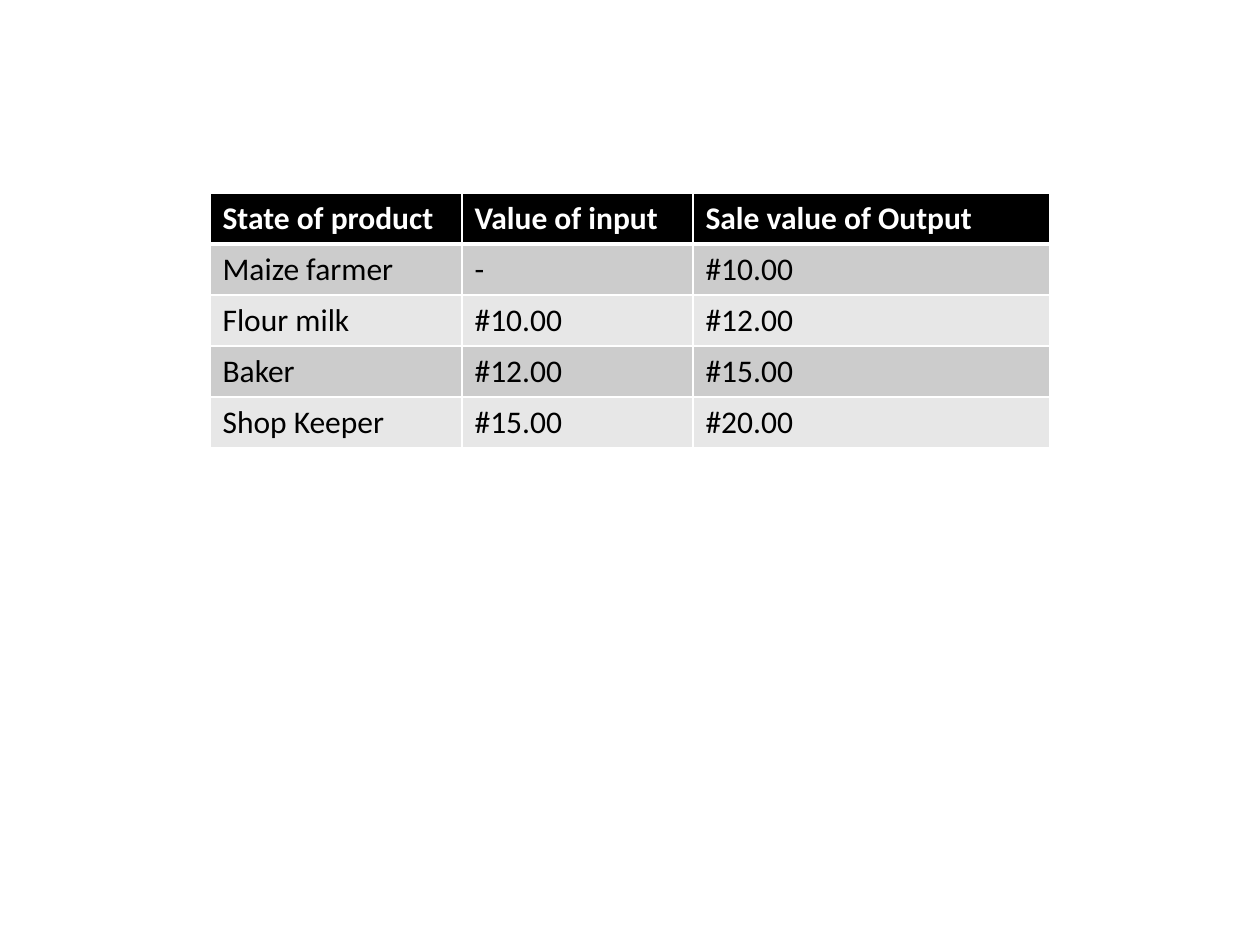
from dataclasses import dataclass

from lxml import etree
from pptx import Presentation
from pptx.dml.color import RGBColor
from pptx.enum.text import MSO_ANCHOR
from pptx.oxml.ns import qn
from pptx.util import Inches, Pt

TOP = MSO_ANCHOR.TOP
BLANK_LAYOUT = 6
GRID_COLUMNS = 60
TABLE_LEFT = 10
COLUMN_SPANS = (12, 11, 17)
TABLE_TOP = 0.204
ROW_HEIGHT = 0.054

PRODUCT_ROWS = (
    ("State of product", "Value of input", "Sale value of Output"),
    ("Maize farmer", "-", "#10.00"),
    ("Flour milk", "#10.00", "#12.00"),
    ("Baker", "#12.00", "#15.00"),
    ("Shop Keeper", "#15.00", "#20.00"),
)


@dataclass(frozen=True)
class Theme:
    font: str = "Calibri"
    size: int = 18
    header_fill: str = "000000"
    header_text: str = "FFFFFF"
    body_text: str = "000000"
    bands: tuple = ("CCCCCC", "E7E7E7")
    border: str = "FFFFFF"
    thin: int = 1
    thick: int = 3


THEME = Theme()


def set_attributes(target, values):
    for name, value in values.items():
        setattr(target, name, value)


def add_border(cell, side, width):
    tc_pr = cell._tc.get_or_add_tcPr()
    line = etree.SubElement(tc_pr, qn(f"a:ln{side}"), w=str(Pt(width)))
    fill = etree.SubElement(line, qn("a:solidFill"))
    etree.SubElement(fill, qn("a:srgbClr"), val=THEME.border)


def format_cell(cell, text, row):
    header = row == 0
    widths = {
        "L": THEME.thin,
        "R": THEME.thin,
        "T": THEME.thick if row == 1 else THEME.thin,
        "B": THEME.thick if header else THEME.thin,
    }
    for side, width in widths.items():
        add_border(cell, side, width)
    fill = THEME.header_fill if header else THEME.bands[(row - 1) % 2]
    cell.fill.solid()
    cell.fill.fore_color.rgb = RGBColor.from_string(fill)
    cell.vertical_anchor = TOP
    r = cell.text_frame.paragraphs[0].add_run()
    r.text = text
    set_attributes(r.font, {"name": THEME.font, "size": Pt(THEME.size), "bold": header})
    color = THEME.header_text if header else THEME.body_text
    r.font.color.rgb = RGBColor.from_string(color)


def add_product_table(prs, s):
    unit = prs.slide_width / GRID_COLUMNS
    row_height = int(prs.slide_height * ROW_HEIGHT)
    table = s.shapes.add_table(
        len(PRODUCT_ROWS),
        len(COLUMN_SPANS),
        int(unit * TABLE_LEFT),
        int(prs.slide_height * TABLE_TOP),
        int(unit * sum(COLUMN_SPANS)),
        row_height * len(PRODUCT_ROWS),
    ).table
    for column, span in zip(table.columns, COLUMN_SPANS):
        column.width = int(unit * span)
    for row, texts in enumerate(PRODUCT_ROWS):
        table.rows[row].height = row_height
        for col, text in enumerate(texts):
            format_cell(table.cell(row, col), text, row)


def main():
    prs = Presentation()
    set_attributes(prs, {"slide_width": Inches(10), "slide_height": Inches(7.5)})
    s = prs.slides.add_slide(prs.slide_layouts[BLANK_LAYOUT])
    add_product_table(prs, s)
    prs.save("out.pptx")


if __name__ == "__main__":
    main()
